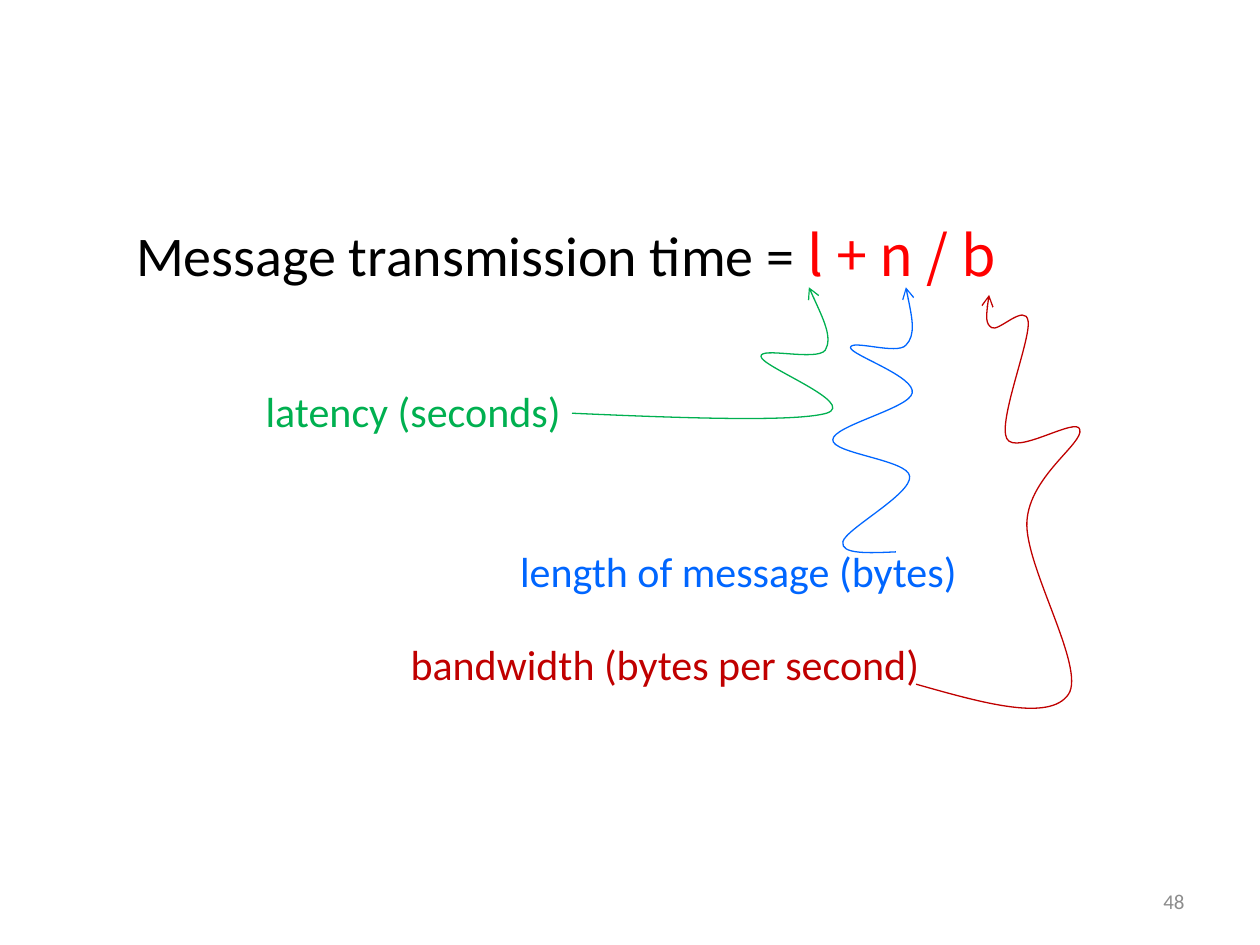
from dataclasses import dataclass

from lxml import etree
from pptx import Presentation
from pptx.dml.color import RGBColor
from pptx.enum.text import MSO_ANCHOR, MSO_AUTO_SIZE, PP_ALIGN
from pptx.oxml.ns import qn
from pptx.util import Pt

PX = 9144  # EMU per px, 100 px to the inch
LEFT, RIGHT = PP_ALIGN.LEFT, PP_ALIGN.RIGHT
TOP, MIDDLE = MSO_ANCHOR.TOP, MSO_ANCHOR.MIDDLE
NO_AUTOFIT = MSO_AUTO_SIZE.NONE
TITLE_ONLY = 5


@dataclass(frozen=True)
class Theme:
    font: str = "Calibri"
    formula_font: str = "Noto Sans CJK KR"
    text: str = "000000"
    formula: str = "FF0000"
    latency: str = "00B050"
    length: str = "0066FF"
    bandwidth: str = "C00000"
    muted: str = "8C8C8C"
    title_size: int = 32
    label_size: int = 24
    number_size: int = 12
    line_width: float = 0.75


THEME = Theme()

LATENCY_CURVE = [
    (454, 328),
    (543, 332), (631, 335), (656, 328),
    (681, 320), (604, 291), (604, 283),
    (603, 275), (648, 287), (655, 278),
    (661, 268), (651, 248), (642, 228),
]
LENGTH_CURVE = [
    (711, 438),
    (689, 439), (667, 440), (669, 430),
    (671, 420), (724, 392), (722, 378),
    (721, 365), (660, 360), (661, 349),
    (661, 338), (722, 324), (724, 312),
    (727, 299), (676, 282), (675, 276),
    (675, 269), (712, 282), (719, 274),
    (727, 266), (723, 247), (719, 228),
]
BANDWIDTH_CURVE = [
    (727, 543),
    (780, 558), (833, 573), (848, 551),
    (862, 530), (813, 449), (815, 414),
    (817, 378), (860, 352), (857, 341),
    (855, 330), (806, 362), (799, 348),
    (792, 334), (818, 270), (816, 255),
    (814, 240), (792, 264), (787, 260),
    (782, 257), (783, 245), (785, 234),
]


def add_run(p, text, *, size, color, font=THEME.font):
    r = p.add_run()
    r.text = text
    r.font.name = font
    r.font.size = Pt(size)
    r.font.color.rgb = RGBColor.from_string(color)


def set_frame(sp, *, wrap=True, anchor=TOP, align=LEFT):
    """Lay out the text frame and return its first paragraph."""
    tf = sp.text_frame
    tf.auto_size = NO_AUTOFIT
    tf.word_wrap = wrap
    tf.vertical_anchor = anchor
    p = tf.paragraphs[0]
    p.alignment = align
    return p


def add_title(s):
    sp = s.shapes.title
    sp.left, sp.top, sp.width, sp.height = (v * PX for v in (98, 170, 795, 64))
    p = set_frame(sp)
    add_run(p, "Message transmission time = ",
            size=THEME.title_size, color=THEME.text)
    add_run(p, "l + n / b", size=THEME.title_size, color=THEME.formula,
            font=THEME.formula_font)


def add_text(s, text, box, *, size, color, **layout):
    sp = s.shapes.add_textbox(*(v * PX for v in box))
    add_run(set_frame(sp, **layout), text, size=size, color=color)


def add_curved_arrow(s, points, color):
    """Draw cubic curves: a start, then two controls and an end for each."""
    builder = s.shapes.build_freeform(*points[0], scale=PX)
    builder.add_line_segments(points[1:], close=False)
    sp = builder.convert_to_shape()
    sp.shadow.inherit = False
    sp.fill.background()
    sp.line.color.rgb = RGBColor.from_string(color)
    sp.line.width = Pt(THEME.line_width)

    segments = sp.element.xpath(".//a:lnTo")
    for i in range(0, len(segments), 3):
        curve = etree.Element(qn("a:cubicBezTo"))
        segments[i].addprevious(curve)
        for segment in segments[i:i + 3]:
            curve.append(segment[0])
            segment.getparent().remove(segment)

    ln = sp.element.xpath("./p:spPr/a:ln")[0]
    etree.SubElement(ln, qn("a:tailEnd"), type="arrow")


def main():
    prs = Presentation()
    prs.slide_width, prs.slide_height = 1000 * PX, 750 * PX
    s = prs.slides.add_slide(prs.slide_layouts[TITLE_ONLY])
    add_title(s)

    terms = [
        ("latency (seconds)", (201, 301, 257, 50),
         LATENCY_CURVE, THEME.latency),
        ("length of message (bytes)", (403, 428, 370, 50),
         LENGTH_CURVE, THEME.length),
        ("bandwidth (bytes per second)", (316, 502, 428, 50),
         BANDWIDTH_CURVE, THEME.bandwidth),
    ]
    for text, box, curve, color in terms:
        add_text(s, text, box, size=THEME.label_size, color=color, wrap=False)
        add_curved_arrow(s, curve, color)

    add_text(s, "48", (717, 695, 233, 40), size=THEME.number_size,
             color=THEME.muted, anchor=MIDDLE, align=RIGHT)
    prs.save("out.pptx")


if __name__ == "__main__":
    main()
